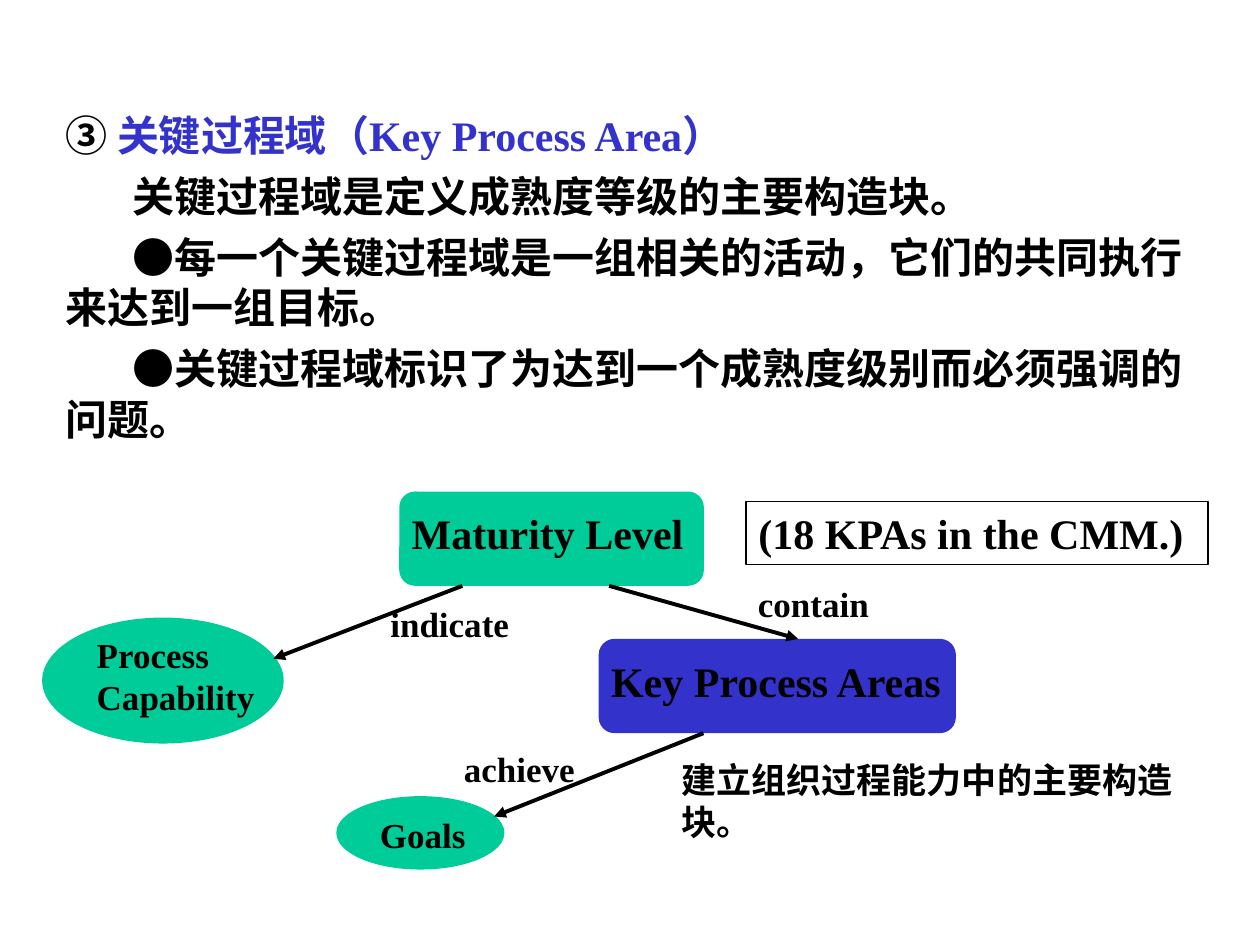
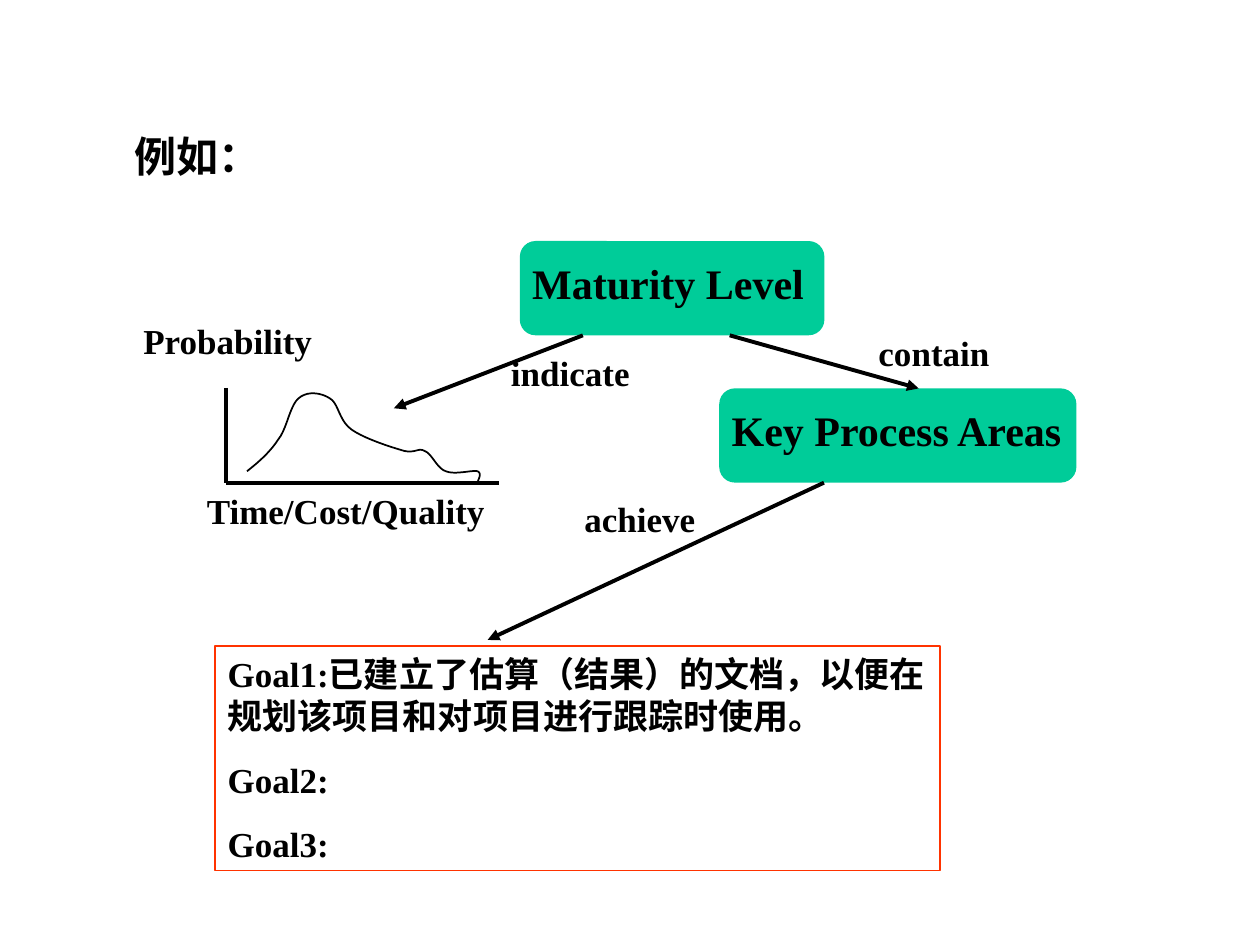
from lxml import etree
from pptx import Presentation
from pptx import util as u
from pptx.dml import color
from pptx.enum import shapes, text
from pptx.oxml import ns

GREEN, BLUE, RED, BLACK = "00CC99", "3333CC", "FF3300", "000000"
SERIF, SANS = "Times New Roman", "Arial"
LARGE, SMALL = 24, 20
TALL = 1.27   # height of a one-line box in large type
LOW = 1.12    # height of a one-line box in small type


def hue(code):
    return color.RGBColor.from_string(code)


def write(box, at, paras, size=SMALL, gap=12.5, indent=0):
    """Place a box and fill it; a paragraph is a list of (text, font, colour)."""
    box.left, box.top, box.width, box.height = map(u.Cm, at)
    frame = box.text_frame
    look = {"word_wrap": True, "auto_size": text.MSO_AUTO_SIZE.NONE,
            "vertical_anchor": text.MSO_ANCHOR.TOP,
            "margin_left": u.Cm(0.25), "margin_right": u.Cm(0.25),
            "margin_top": u.Cm(0.13), "margin_bottom": u.Cm(0.13)}
    for key, val in look.items():
        setattr(frame, key, val)
    for i, runs in enumerate(paras):
        para = frame.add_paragraph() if i else frame.paragraphs[0]
        para.alignment = text.PP_ALIGN.LEFT
        para.space_before = u.Pt(gap if i else 0)
        if indent:
            para._p.get_or_add_pPr().set("indent", str(u.Cm(indent)))
        for words, face, ink in runs:
            run = para.add_run()
            run.text = words
            for key, val in {"size": u.Pt(size), "bold": True, "name": face}.items():
                setattr(run.font, key, val)
            run.font.color.rgb = hue(ink)
    return box


deck = Presentation()
deck.slide_width, deck.slide_height = u.Cm(25.4), u.Cm(19.05)
area, case = [deck.slides.add_slide(deck.slide_layouts[5]) for _ in range(2)]

# Titles
write(area.shapes.title, (1.07, 2.08, 23.06, TALL),
      [[("③ ", SANS, BLACK), ("关键过程域（Key Process Area）", SERIF, BLUE)]], LARGE)
write(case.shapes.title, (2.46, 2.51, 14.81, TALL), [[("例如：", SERIF, BLACK)]], LARGE)

# Definition of a key process area
dot = ("●", SANS, BLACK)
write(area.shapes.add_textbox(0, 0, 0, 0), (1.07, 3.31, 23.06, 5.76), [
    [("关键过程域是定义成熟度等级的主要构造块。", SERIF, BLACK)],
    [dot, ("每一个关键过程域是一组相关的活动，它们的共同执行来达到一组目标。", SERIF, BLACK)],
    [dot, ("关键过程域标识了为达到一个成熟度级别而必须强调的问题。", SERIF, BLACK)],
], LARGE, 6, 1.35)

# Filled shapes, lines and labels of each slide
ROUND = shapes.MSO_SHAPE.FLOWCHART_ALTERNATE_PROCESS
OVAL = shapes.MSO_SHAPE.OVAL
forms = [(area, OVAL, (0.85, 12.45, 4.87, 2.54), GREEN),
         (area, OVAL, (6.78, 16.05, 3.39, 1.48), GREEN)]
lines = [(case, (4.55, 7.82), (4.55, 9.73), False),
         (case, (4.55, 9.73), (10.06, 9.73), False)]
labels = [(area, "Process Capability", (1.7, 12.65, 4.02, 1.96), SMALL),
          (area, "Goals", (7.41, 16.26, 2.54, LOW), SMALL),
          (area, "建立组织过程能力中的主要构造块。", (13.49, 15.16, 10.52, 1.96), SMALL),
          (case, "Probability", (2.64, 6.32, 4.88, LOW), SMALL),
          (case, "Time/Cost/Quality", (3.92, 9.73, 7.62, LOW), SMALL)]

# The level diagram, shifted on the second slide
for page, dx, dy, tint, goal in ((area, 0, 0, BLUE, (9.96, 16.46)),
                                 (case, 2.43, -5.05, GREEN, (9.83, 12.9))):
    for name, x, y, wide, room, fill in (
            ("Maturity Level", 8.05, 9.91, 6.14, 6.14, GREEN),
            ("Key Process Areas", 12.07, 12.88, 7.2, 7.41, tint)):
        forms.append((page, ROUND, (x + dx, y + dy, wide, 1.9), fill))
        labels.append((page, name, (x + dx, y + dy + 0.2, room, TALL), LARGE))
    for name, x, y in (("indicate", 7.62, 12.01), ("contain", 15.03, 11.61),
                       ("achieve", 9.1, 14.94)):
        labels.append((page, name, (x + dx, y + dy, 2.97, LOW), SMALL))
    for start, end in (((9.32, 11.81), (5.51, 13.28)),
                       ((12.28, 11.81), (16.09, 12.88))):
        lines.append((page, (start[0] + dx, start[1] + dy),
                      (end[0] + dx, end[1] + dy), True))
    lines.append((page, (14.18 + dx, 14.78 + dy), goal, True))

for page, kind, at, fill in forms:
    form = page.shapes.add_shape(kind, *map(u.Cm, at))
    form.shadow.inherit = False
    form.fill.solid()
    form.fill.fore_color.rgb = hue(fill)
    form.line.fill.background()

for page, start, end, arrow in lines:
    link = page.shapes.add_connector(shapes.MSO_CONNECTOR.STRAIGHT,
                                     *map(u.Cm, start + end))
    link.line.color.rgb = hue(BLACK)
    link.line.width = u.Pt(2.25)
    if arrow:
        tip = etree.SubElement(link.line._get_or_add_ln(), ns.qn("a:tailEnd"))
        tip.set("type", "triangle")
    etree.SubElement(link._element.spPr, ns.qn("a:effectLst"))

for page, words, at, size in labels:
    write(page.shapes.add_textbox(0, 0, 0, 0), at, [[(words, SERIF, BLACK)]], size)

# Framed notes
for page, at, edge, size, notes in (
        (area, (15.04, 10.11, 9.32, TALL), BLACK, LARGE, ["(18 KPAs in the CMM.)"]),
        (case, (4.34, 13.03, 14.61, 4.52), RED, SMALL,
         ["Goal1:已建立了估算（结果）的文档，以便在规划该项目和对项目进行跟踪时使用。",
          "Goal2:", "Goal3:"])):
    note = write(page.shapes.add_textbox(0, 0, 0, 0), at,
                 [[(words, SERIF, BLACK)] for words in notes], size)
    note.line.color.rgb = hue(edge)
    note.line.width = u.Pt(1)

# Probability curve: two handles and an end point per Bezier piece
last = (4.98, 9.5)
bends = [((5.21, 9.32), (5.44, 9.12), (5.61, 8.86)),
         ((5.79, 8.64), (5.84, 8.18), (6.02, 8.03)),
         ((6.2, 7.87), (6.48, 7.92), (6.65, 8.03)),
         ((6.83, 8.13), (6.83, 8.48), (7.09, 8.66)),
         ((7.34, 8.84), (7.9, 9.02), (8.15, 9.09)),
         ((8.38, 9.14), (8.43, 9.02), (8.56, 9.09)),
         ((8.71, 9.14), (8.81, 9.45), (8.99, 9.5)),
         ((9.17, 9.58), (9.52, 9.47), (9.63, 9.5)),
         ((9.73, 9.55), (9.63, 9.68), (9.63, 9.73))]
STEPS = 10
# The builder rounds to whole units, so points are given in EMU
pen = case.shapes.build_freeform(*map(u.Cm, last))
for one, two, end in bends:
    spots = []
    for i in range(1, STEPS + 1):
        t = i / STEPS
        s = 1 - t
        spots.append([u.Cm(s**3 * a + 3 * s * s * t * b + 3 * s * t * t * c + t**3 * d)
                      for a, b, c, d in zip(last, one, two, end)])
    pen.add_line_segments(spots, close=False)
    last = end
curve = pen.convert_to_shape()
curve.shadow.inherit = False
curve.fill.background()
curve.line.color.rgb = hue(BLACK)
curve.line.width = u.Pt(1)

deck.save("out.pptx")
